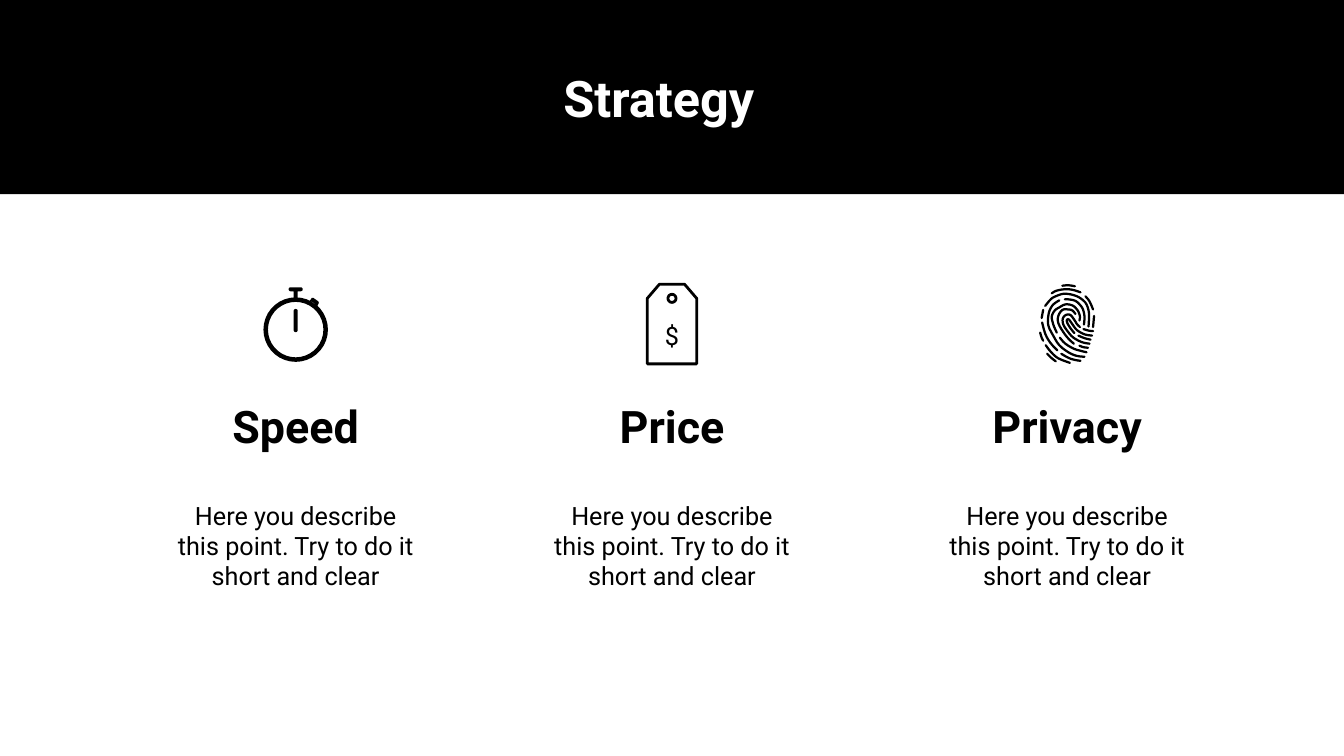
from math import cos, radians, sin

from lxml import etree
from pptx import Presentation
from pptx.dml.color import RGBColor
from pptx.enum.shapes import MSO_SHAPE
from pptx.enum.text import MSO_ANCHOR, MSO_AUTO_SIZE, PP_ALIGN
from pptx.oxml.ns import qn
from pptx.util import Inches, Pt

RECT = MSO_SHAPE.RECTANGLE
MIDDLE, CENTER = MSO_ANCHOR.MIDDLE, PP_ALIGN.CENTER
GROW = MSO_AUTO_SIZE.SHAPE_TO_FIT_TEXT

WIDTH, HEIGHT = 26.67, 15
FONT, BLACK, WHITE = "Roboto", "000000", "FFFFFF"

TITLE = "Strategy "
DESCRIPTION = "Here you describe this point. Try to do it short and clear"
# heading, centre as a share of the slide width, heading width
POINTS = [("Speed", 0.22, 3.44), ("Price", 0.5, 3.44), ("Privacy", 0.794, 4.25)]

BAND_HEIGHT = 3.85
ICON_TOP, HEADING_TOP, BODY_TOP = 5.64, 7.85, 9.87
BODY_WIDTH = 4.81

# Fingerprint ridges, in hundredths of an inch from the icon's top left
FINGERPRINT_WIDTH = 1.11
RIDGES = [
    [(46, 3), (58, 2), (71, 4)],
    [(25, 18), (34, 13), (50, 10), (66, 11), (82, 16)],
    [(12, 43), (24, 29), (35, 23), (48, 19), (62, 20), (75, 24), (85, 30),
     (94, 40), (99, 58), (98, 84)],
    [(92, 24), (100, 34), (107, 50)],
    [(51, 30), (58, 30), (72, 33), (82, 42), (87, 50), (90, 64), (89, 80)],
    [(40, 32), (32, 37), (25, 44), (19, 58), (18, 81), (28, 102), (40, 121),
     (58, 135), (74, 142), (90, 144)],
    [(35, 96), (30, 85), (27, 76), (25, 64), (31, 52), (40, 46), (52, 40),
     (66, 42), (75, 50), (79, 57), (81, 65), (80, 72)],
    [(69, 118), (59, 109), (48, 95), (38, 77), (38, 63), (46, 51), (57, 50),
     (66, 52), (72, 59)],
    [(8, 51), (5, 67)],
    [(100, 118), (85, 115), (68, 106), (57, 94), (48, 80), (47, 68), (53, 61),
     (62, 61), (70, 71), (75, 79), (81, 85)],
    [(109, 63), (107, 85)],
    [(70, 97), (62, 87), (56, 77), (55, 71), (59, 70), (65, 78), (73, 89),
     (81, 95), (92, 100), (105, 102)],
    [(6, 76), (12, 98), (22, 116), (36, 131)],
    [(88, 89), (98, 92), (107, 93)],
    [(2, 96), (5, 106), (8, 112)],
    [(78, 102), (90, 107), (102, 110)],
    [(41, 106), (52, 118), (69, 128), (82, 132), (94, 135)],
    [(13, 121), (24, 135), (38, 147), (61, 156)],
    [(80, 122), (88, 125), (97, 126)],
    [(16, 138), (24, 146), (33, 153)],
    [(44, 138), (58, 146), (70, 150), (82, 152)],
]


def rgb(value):
    return RGBColor.from_string(value)


def arc(x, y, radius, start, end, steps=8):
    """Return points along an arc, in degrees clockwise from the right."""
    angles = [radians(start + (end - start) * i / steps) for i in range(steps + 1)]
    return [(x + radius * cos(angle), y + radius * sin(angle)) for angle in angles]


# Contours below are in inches from the icon's top centre
STOPWATCH = [
    arc(0, 0.9, 0.64, 0, 360, 36),
    arc(0, 0.9, 0.55, 360, 0, 36),
    arc(-0.1, 0.1, 0.04, 90, 270) + arc(0.1, 0.1, 0.04, -90, 90)
    + [(0.04, 0.14), (0.04, 0.26), (-0.04, 0.26), (-0.04, 0.14)],
    arc(0, 0.53, 0.04, 180, 360) + arc(0, 0.91, 0.04, 0, 180),
    [(0.28, 0.33), (0.32, 0.27), (0.35, 0.27), (0.45, 0.34), (0.46, 0.37), (0.43, 0.43)],
]
TAG = [
    [(-0.25, 0), (-0.49, 0.28), (-0.49, 1.58), (0.49, 1.58), (0.49, 0.28), (0.25, 0)],
    arc(0, 0.28, 0.08, 0, 360, 20),
]


def put_text(shape, text, size, color=BLACK, bold=False, wrap=True):
    frame = shape.text_frame
    frame.text = text
    frame.word_wrap, frame.auto_size, frame.vertical_anchor = wrap, GROW, MIDDLE
    frame.margin_left = frame.margin_right = Inches(0.06)
    frame.margin_top = frame.margin_bottom = Inches(0.06)
    paragraph = frame.paragraphs[0]
    paragraph.alignment = CENTER
    font = paragraph.font
    font.name, font.size, font.bold = FONT, Pt(size), bold
    font.color.rgb = rgb(color)


def add_text(slide, center, top, width, height, text, size, **style):
    box = slide.shapes.add_textbox(
        Inches(center - width / 2), Inches(top), Inches(width), Inches(height))
    put_text(box, text, size, **style)


def fill_black(shape):
    shape.shadow.inherit = False
    shape.fill.solid()
    shape.fill.fore_color.rgb = rgb(BLACK)
    shape.line.fill.background()


def outline_black(shape, weight):
    shape.shadow.inherit = False
    shape.fill.background()
    shape.line.color.rgb = rgb(BLACK)
    shape.line.width = Pt(weight)


def add_contours(slide, x, contours, closed=True):
    """Add one freeform whose contours are measured from x and the icon top."""
    placed = [[(Inches(x + dx), Inches(ICON_TOP + dy)) for dx, dy in contour]
              for contour in contours]
    builder = slide.shapes.build_freeform(*placed[0][0])
    for i, contour in enumerate(placed):
        if i:
            builder.move_to(*contour[0])
        builder.add_line_segments(contour[1:], close=closed)
    return builder.convert_to_shape()


def smooth(points, steps=3):
    """Return points on a Catmull-Rom curve through the given ones."""
    padded = [points[0], *points, points[-1]]
    curve = [points[0]]
    for a, b, c, d in zip(padded, padded[1:], padded[2:], padded[3:]):
        for t in (step / steps for step in range(1, steps + 1)):
            curve.append(tuple(
                q + t * (r - p) / 2 + t**2 * (p - 2.5 * q + 2 * r - s / 2)
                + t**3 * (3 * q - 3 * r + s - p) / 2
                for p, q, r, s in zip(a, b, c, d)))
    return curve


def draw_stopwatch(slide, center):
    fill_black(add_contours(slide, center, STOPWATCH))


def draw_tag(slide, center):
    outline_black(add_contours(slide, center, TAG), 4)
    add_text(slide, center, 6.3, 0.4, 0.71, "$", 36, wrap=False)


def draw_fingerprint(slide, center):
    ridges = [[(x / 100, y / 100) for x, y in smooth(ridge)] for ridge in RIDGES]
    fingerprint = add_contours(slide, center - FINGERPRINT_WIDTH / 2, ridges, closed=False)
    outline_black(fingerprint, 3.2)
    line = fingerprint.element.spPr.find(qn("a:ln"))
    line.set("cap", "rnd")
    etree.SubElement(line, qn("a:round"))


def main():
    deck = Presentation()
    deck.slide_width, deck.slide_height = Inches(WIDTH), Inches(HEIGHT)
    slide = deck.slides.add_slide(deck.slide_layouts[5])

    title = slide.shapes.title
    title.left, title.top = Inches(11), Inches(1.27)
    title.width, title.height = Inches(4.4), Inches(1.31)
    put_text(title, TITLE, 72, WHITE, bold=True, wrap=False)
    band = slide.shapes.add_shape(RECT, 0, 0, Inches(WIDTH), Inches(BAND_HEIGHT))
    fill_black(band)
    title.element.addprevious(band.element)

    icons = [draw_stopwatch, draw_tag, draw_fingerprint]
    for (heading, share, heading_width), draw_icon in zip(POINTS, icons):
        center = share * WIDTH
        draw_icon(slide, center)
        add_text(slide, center, HEADING_TOP, heading_width, 1.18, heading, 64, bold=True)
        add_text(slide, center, BODY_TOP, BODY_WIDTH, 1.9, DESCRIPTION, 36)

    deck.save("out.pptx")


if __name__ == "__main__":
    main()
